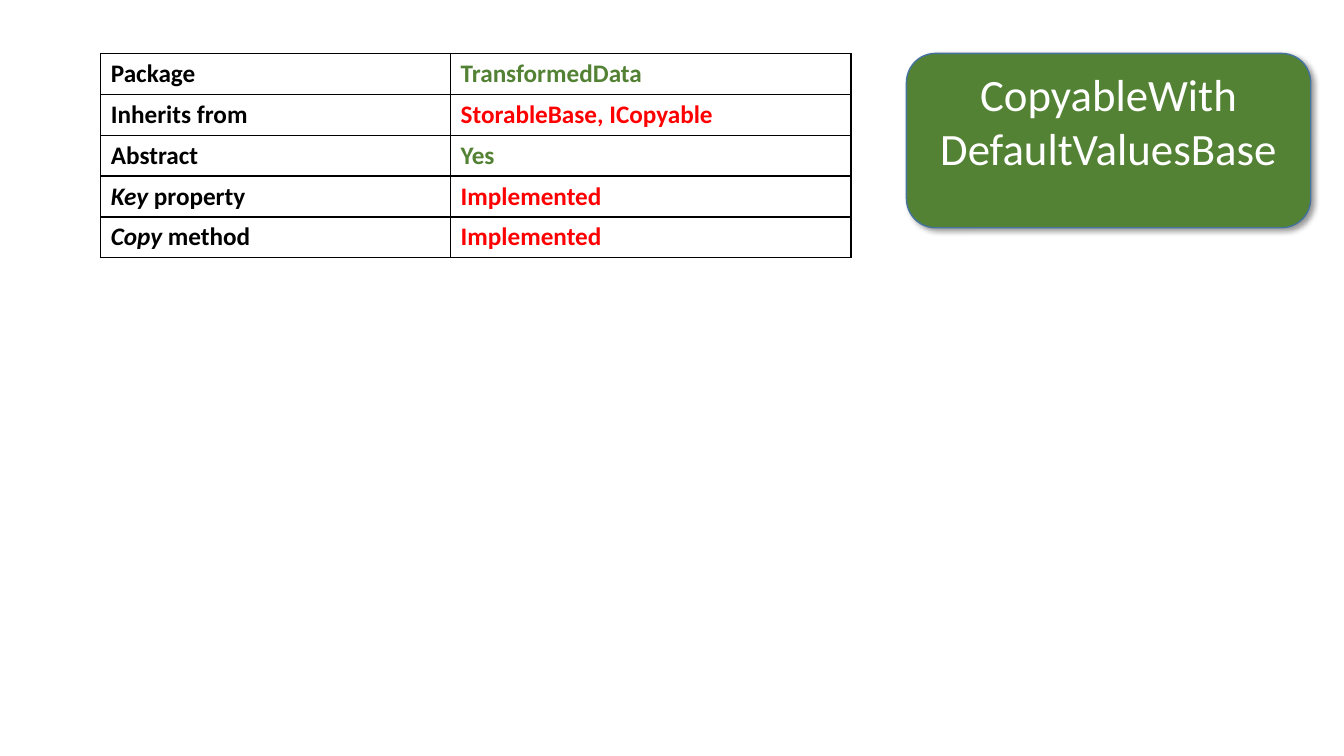
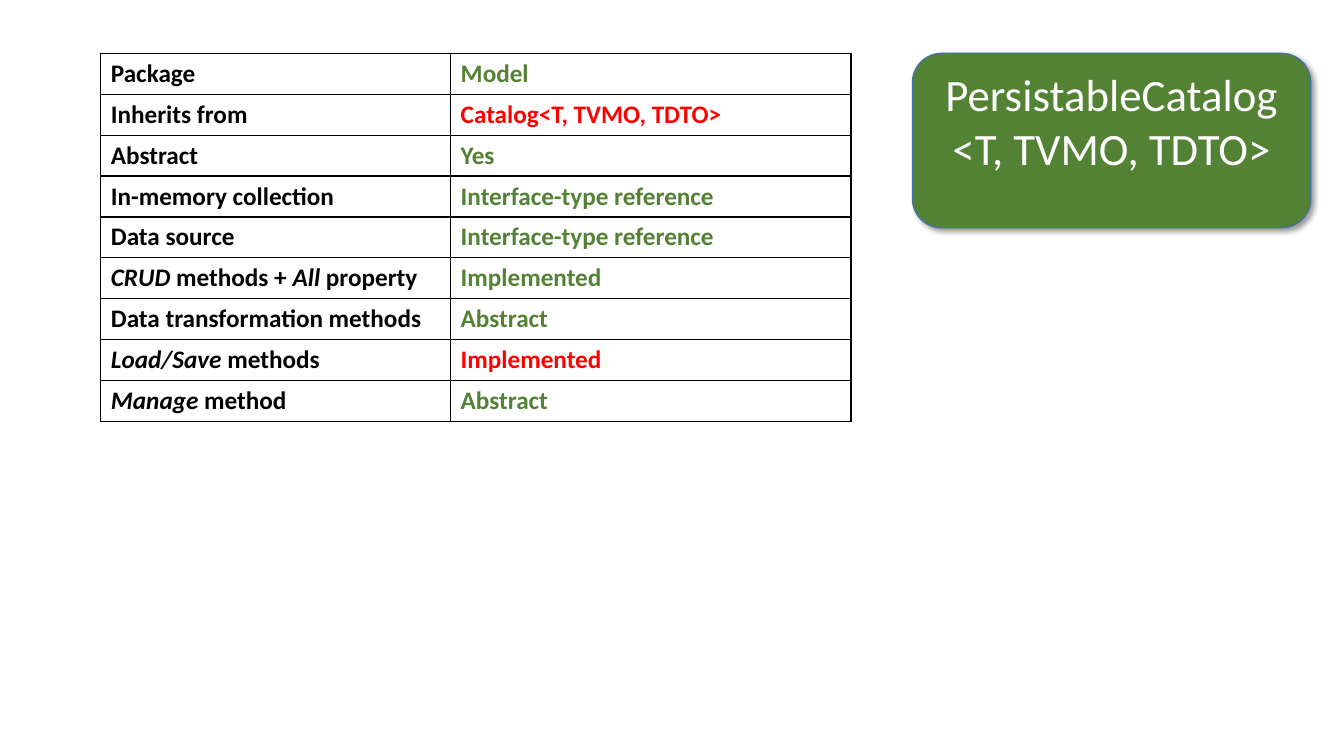
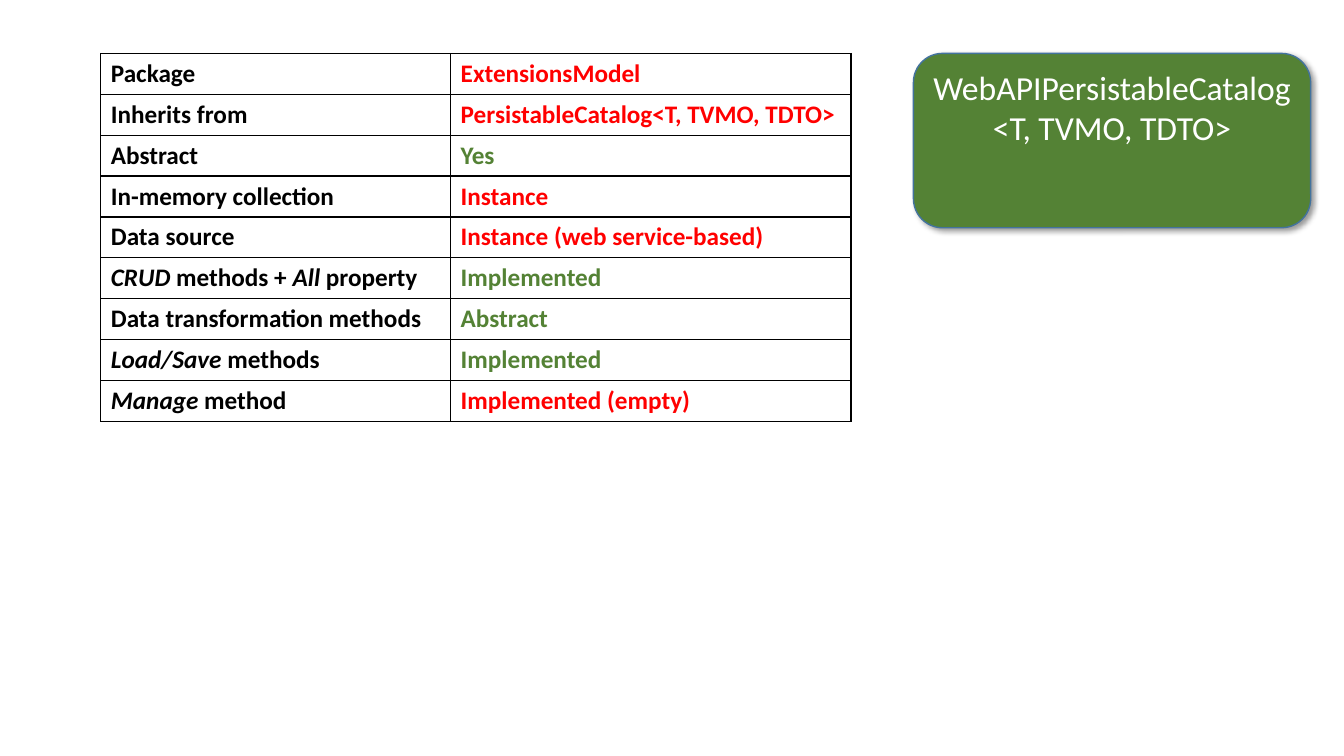
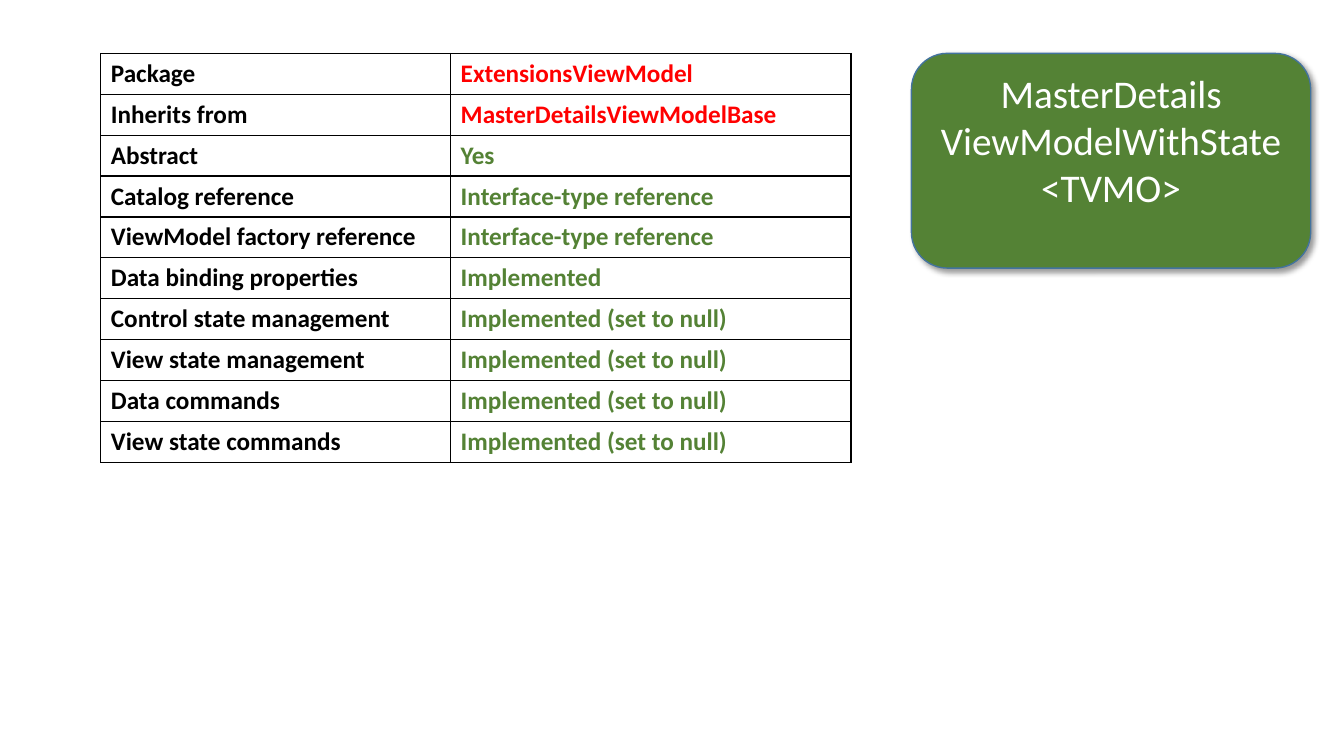
from lxml import etree
from pptx import Presentation
from pptx.dml.color import RGBColor
from pptx.enum.shapes import MSO_SHAPE
from pptx.enum.text import MSO_ANCHOR, PP_ALIGN
from pptx.oxml import parse_xml
from pptx.util import Inches, Pt

ROUNDED_RECTANGLE = MSO_SHAPE.ROUNDED_RECTANGLE
TOP = MSO_ANCHOR.TOP
CENTER = PP_ALIGN.CENTER

BLACK = RGBColor(0x00, 0x00, 0x00)
WHITE = RGBColor(0xFF, 0xFF, 0xFF)
GREEN = RGBColor(0x54, 0x82, 0x35)
RED = RGBColor(0xFF, 0x00, 0x00)
BLUE = RGBColor(0x43, 0x73, 0x9E)

FONT = "Calibri"
NAMESPACE = "http://schemas.openxmlformats.org/drawingml/2006/main"
TABLE_LEFT = Inches(1)
CONTENT_TOP = Inches(0.53)
COLUMN_WIDTHS = [Inches(3.47), Inches(3.97)]
ROW_HEIGHT = Inches(3.65) // 9
BOX_RIGHT = Inches(13)

SHADOW = (
    f'<a:effectLst xmlns:a="{NAMESPACE}">'
    f'<a:outerShdw blurRad="{Pt(4)}" dist="{Pt(3)}" dir="2700000" algn="tl" rotWithShape="0">'
    '<a:srgbClr val="000000"><a:alpha val="40000"/></a:srgbClr>'
    "</a:outerShdw></a:effectLst>"
)

CLASSES = [
    {
        "title": ["CopyableWith DefaultValuesBase"],
        "size": 32,
        "width": 4.01,
        "height": 1.73,
        "rows": [
            ("Package", "TransformedData", GREEN),
            ("Inherits from", "StorableBase, ICopyable", RED),
            ("Abstract", "Yes", GREEN),
            ("*Key* property", "Implemented", RED),
            ("*Copy* method", "Implemented", RED),
        ],
    },
    {
        "title": ["PersistableCatalog", "<T, TVMO, TDTO>"],
        "size": 32,
        "width": 3.95,
        "height": 1.73,
        "rows": [
            ("Package", "Model", GREEN),
            ("Inherits from", "Catalog<T, TVMO, TDTO>", RED),
            ("Abstract", "Yes", GREEN),
            ("In-memory collection", "Interface-type reference", GREEN),
            ("Data source", "Interface-type reference", GREEN),
            ("*CRUD* methods + *All* property", "Implemented", GREEN),
            ("Data transformation methods", "Abstract", GREEN),
            ("*Load/Save* methods", "Implemented", RED),
            ("*Manage* method", "Abstract", GREEN),
        ],
    },
    {
        "title": ["WebAPIPersistableCatalog", "<T, TVMO, TDTO>"],
        "size": 24,
        "width": 3.94,
        "height": 1.73,
        "rows": [
            ("Package", "ExtensionsModel", RED),
            ("Inherits from", "PersistableCatalog<T, TVMO, TDTO>", RED),
            ("Abstract", "Yes", GREEN),
            ("In-memory collection", "Instance", RED),
            ("Data source", "Instance (web service-based)", RED),
            ("*CRUD* methods + *All* property", "Implemented", GREEN),
            ("Data transformation methods", "Abstract", GREEN),
            ("*Load/Save* methods", "Implemented", GREEN),
            ("*Manage* method", "Implemented (empty)", RED),
        ],
    },
    {
        "title": ["MasterDetails", "ViewModelWithState", "<TVMO>"],
        "size": 28,
        "width": 3.96,
        "height": 2.13,
        "rows": [
            ("Package", "ExtensionsViewModel", RED),
            ("Inherits from", "MasterDetailsViewModelBase", RED),
            ("Abstract", "Yes", GREEN),
            ("Catalog reference", "Interface-type reference", GREEN),
            ("ViewModel factory reference", "Interface-type reference", GREEN),
            ("Data binding properties", "Implemented", GREEN),
            ("Control state management", "Implemented (set to null)", GREEN),
            ("View state management", "Implemented (set to null)", GREEN),
            ("Data commands", "Implemented (set to null)", GREEN),
            ("View state commands", "Implemented (set to null)", GREEN),
        ],
    },
]


def set_font(paragraph, size, color, bold):
    paragraph.font.name = FONT
    paragraph.font.size = Pt(size)
    paragraph.font.color.rgb = color
    paragraph.font.bold = bold


def fill_cell(cell, text, color):
    paragraph = cell.text_frame.paragraphs[0]
    set_font(paragraph, 18, color, True)
    for index, part in enumerate(text.split("*")):
        if part:
            run = paragraph.add_run()
            run.text = part
            if index % 2:
                run.font.italic = True
    properties = cell._tc.get_or_add_tcPr()
    for side in ("lnL", "lnR", "lnT", "lnB"):
        border = etree.SubElement(properties, f"{{{NAMESPACE}}}{side}", w=str(Pt(1)))
        solid = etree.SubElement(border, f"{{{NAMESPACE}}}solidFill")
        etree.SubElement(solid, f"{{{NAMESPACE}}}srgbClr", val=str(BLACK))
    cell.fill.background()


presentation = Presentation()
presentation.slide_width = Inches(13.33)
presentation.slide_height = Inches(7.5)

for entry in CLASSES:
    slide = presentation.slides.add_slide(presentation.slide_layouts[6])

    width = Inches(entry["width"])
    box = slide.shapes.add_shape(
        ROUNDED_RECTANGLE, BOX_RIGHT - width, CONTENT_TOP, width, Inches(entry["height"])
    )
    box.fill.solid()
    box.fill.fore_color.rgb = GREEN
    box.line.color.rgb = BLUE
    box.line.width = Pt(1)
    box._element.spPr.append(parse_xml(SHADOW))
    frame = box.text_frame
    frame.word_wrap = True
    frame.vertical_anchor = TOP
    frame.text = "\n".join(entry["title"])
    for paragraph in frame.paragraphs:
        paragraph.alignment = CENTER
        set_font(paragraph, entry["size"], WHITE, False)

    rows = entry["rows"]
    table = slide.shapes.add_table(
        len(rows), 2, TABLE_LEFT, CONTENT_TOP, sum(COLUMN_WIDTHS), ROW_HEIGHT * len(rows)
    ).table
    table.first_row = False
    table.horz_banding = False
    for column, column_width in zip(table.columns, COLUMN_WIDTHS):
        column.width = column_width
    for row, (label, value, color) in zip(table.rows, rows):
        row.height = ROW_HEIGHT
        fill_cell(row.cells[0], label, BLACK)
        fill_cell(row.cells[1], value, color)

presentation.save("out.pptx")
